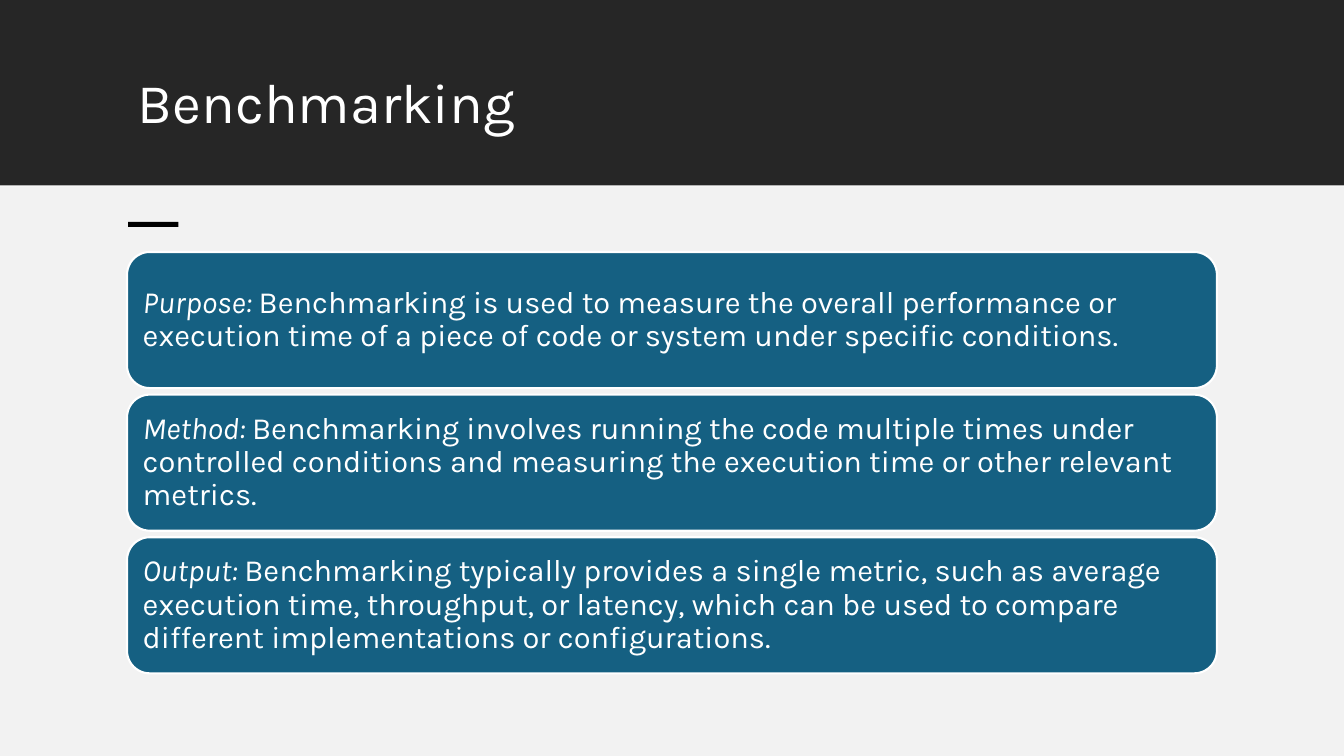
from dataclasses import dataclass

from pptx import Presentation
from pptx.dml.color import RGBColor
from pptx.enum.shapes import MSO_SHAPE
from pptx.enum.text import MSO_ANCHOR, PP_ALIGN
from pptx.shapes.autoshape import Shape
from pptx.slide import Slide
from pptx.text.text import _Paragraph
from pptx.util import Inches, Pt

RECT, ROUNDED = MSO_SHAPE.RECTANGLE, MSO_SHAPE.ROUNDED_RECTANGLE
TOP, MIDDLE = MSO_ANCHOR.TOP, MSO_ANCHOR.MIDDLE
LEFT = PP_ALIGN.LEFT

WHITE = RGBColor(0xFF, 0xFF, 0xFF)
BLACK = RGBColor(0x00, 0x00, 0x00)
CHARCOAL = RGBColor(0x26, 0x26, 0x26)
LIGHT_GRAY = RGBColor(0xF2, 0xF2, 0xF2)
BLUE = RGBColor(0x15, 0x60, 0x82)
FONT = "Karla"

CARD_TOP, CARD_STEP = 2.5, 1.415


@dataclass
class Block:
    left: float
    top: float
    width: float
    height: float
    color: RGBColor


@dataclass
class Card:
    label: str
    text: str


BLOCKS = [
    Block(0, -0.01, 13.33, 1.85, CHARCOAL),
    Block(0, 1.85, 13.33, 5.65, LIGHT_GRAY),
    Block(1.27, 2.2, 0.5, 0.05, BLACK),
]
CARDS = [
    Card("Purpose: ", "Benchmarking is used to measure the overall performance or "
         "execution time of a piece of code or system under specific conditions."),
    Card("Method: ", "Benchmarking involves running the code multiple times under "
         "controlled conditions and measuring the execution time or other relevant metrics."),
    Card("Output: ", "Benchmarking typically provides a single metric, such as average "
         "execution time, throughput, or latency, which can be used to compare "
         "different implementations or configurations."),
]


def add_block(s: Slide, block: Block, kind: MSO_SHAPE = RECT) -> Shape:
    sp = s.shapes.add_shape(kind, Inches(block.left), Inches(block.top),
                            Inches(block.width), Inches(block.height))
    sp.shadow.inherit = False
    sp.fill.solid()
    sp.fill.fore_color.rgb = block.color
    sp.line.fill.background()
    return sp


def style_paragraph(p: _Paragraph, size: int) -> None:
    p.alignment = LEFT
    p.line_spacing = 0.9
    p.font.name = FONT
    p.font.size = Pt(size)
    p.font.color.rgb = WHITE


def add_card(s: Slide, card: Card, top: float) -> None:
    sp = add_block(s, Block(1.26, top, 10.81, 1.35, BLUE), ROUNDED)
    sp.line.color.rgb = WHITE
    sp.line.width = Pt(1.5)
    tf = sp.text_frame
    tf.word_wrap = True
    tf.vertical_anchor = MIDDLE
    tf.margin_left = tf.margin_right = tf.margin_top = tf.margin_bottom = Inches(0.09)
    p = tf.paragraphs[0]
    style_paragraph(p, 22)
    r = p.add_run()
    r.text = card.label
    r.font.italic = True
    p.add_run().text = card.text


def add_title(s: Slide, text: str) -> None:
    tf = s.shapes.add_textbox(Inches(1.27), Inches(0.7), Inches(10.81), Inches(0.98)).text_frame
    tf.word_wrap = True
    tf.vertical_anchor = TOP
    p = tf.paragraphs[0]
    p.text = text
    style_paragraph(p, 40)


def main() -> None:
    prs = Presentation()
    prs.slide_width, prs.slide_height = Inches(13.33), Inches(7.5)
    s = prs.slides.add_slide(prs.slide_layouts[6])

    # Header band, body panel and accent bar
    for block in BLOCKS:
        add_block(s, block)
    add_title(s, "Benchmarking")

    # Stacked cards
    for i, card in enumerate(CARDS):
        add_card(s, card, CARD_TOP + i * CARD_STEP)

    prs.save("out.pptx")


if __name__ == "__main__":
    main()
